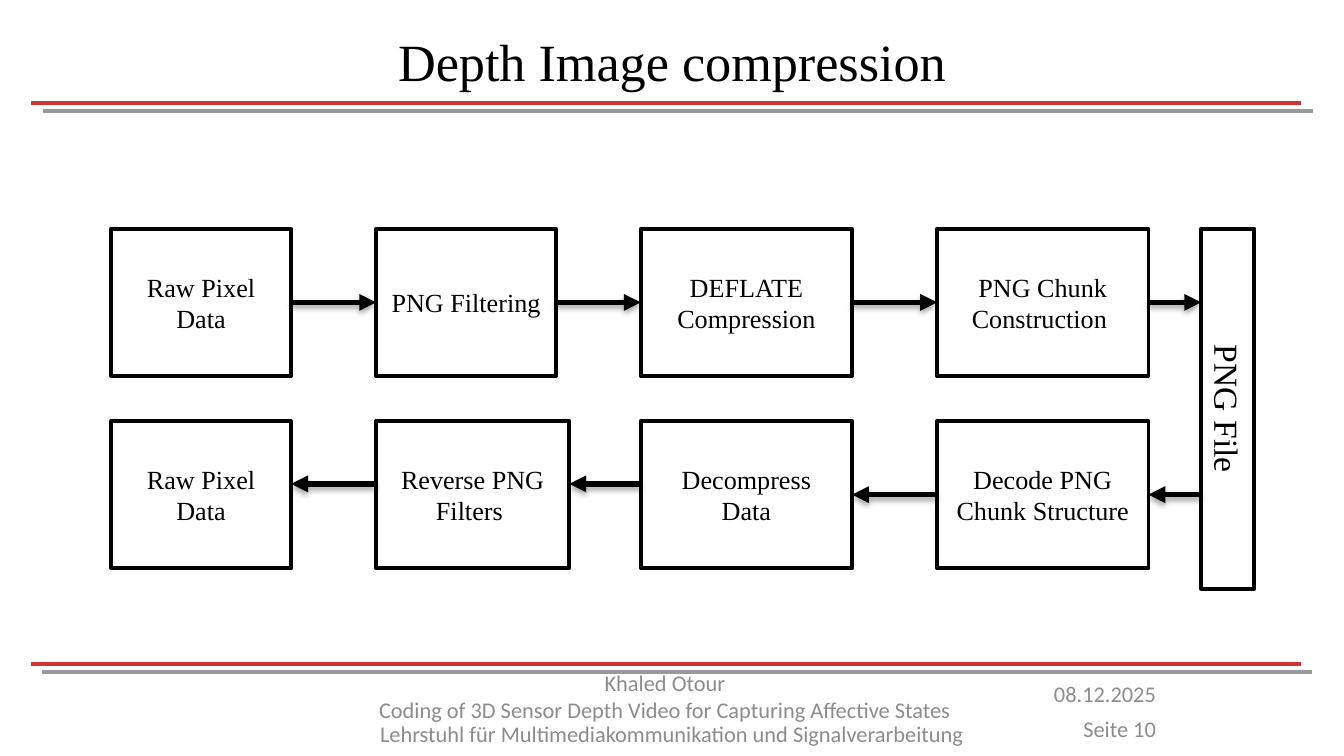
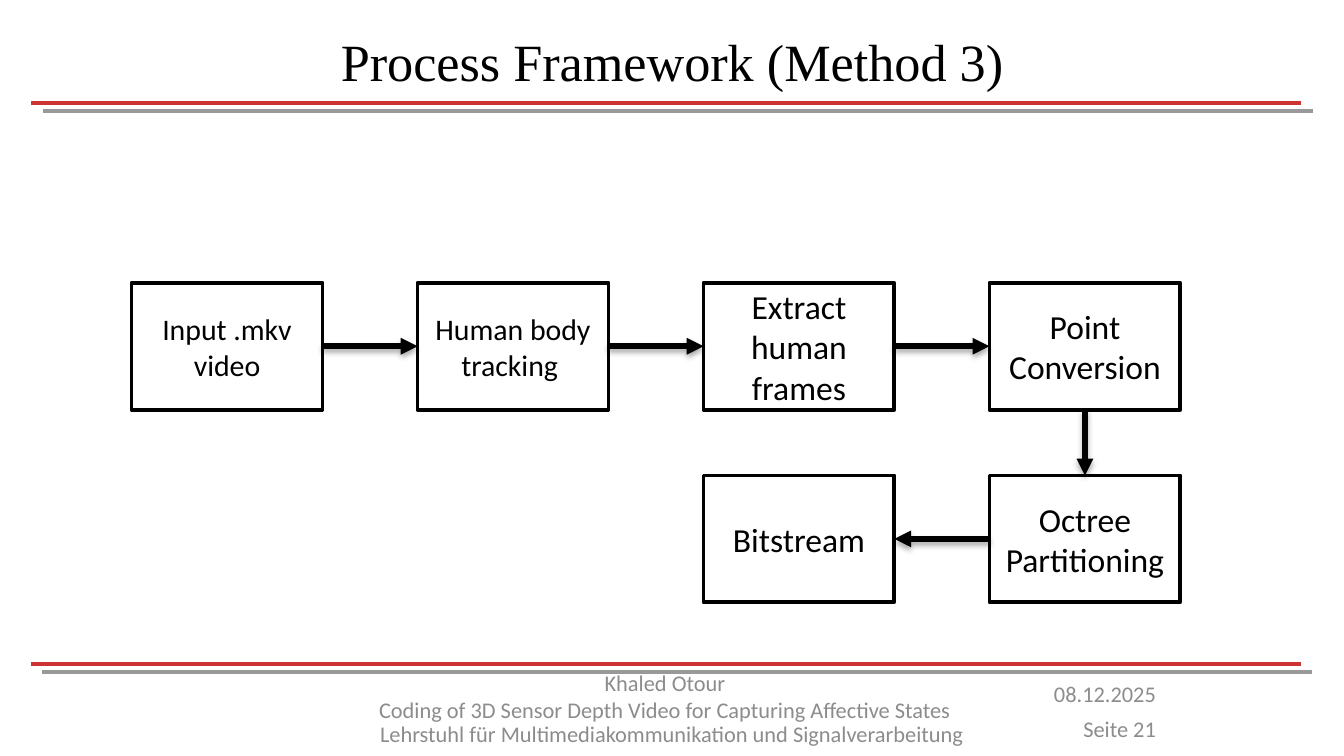
from dataclasses import dataclass
from typing import Optional

from lxml.etree import SubElement
from pptx import Presentation
from pptx.dml.color import RGBColor
from pptx.enum.shapes import MSO_CONNECTOR, MSO_SHAPE
from pptx.enum.text import MSO_ANCHOR, MSO_AUTO_SIZE, PP_ALIGN
from pptx.oxml.ns import qn
from pptx.util import Pt

COLORS = {"ink": "000000", "paper": "FFFFFF", "red": "CC3333",
          "rule": "999999", "foot": "8C8C8C"}
SERIF, SANS = "Times New Roman", "Calibri"
TOP, LEFT, BOTTOM, RIGHT = range(4)


@dataclass(frozen=True)
class Box:
    text: str
    x: float
    y: float
    w: float
    h: float
    size: int
    font: str
    turned: bool = False

    def side(self, side: int) -> tuple[float, float]:
        """Middle of one side."""
        return {TOP: (self.x + self.w / 2, self.y),
                LEFT: (self.x, self.y + self.h / 2),
                BOTTOM: (self.x + self.w / 2, self.y + self.h),
                RIGHT: (self.x + self.w, self.y + self.h / 2)}[side]


@dataclass(frozen=True)
class Arrow:
    start: str
    out: int
    end: str
    into: int
    level: Optional[float] = None  # fixed height of a level arrow


@dataclass(frozen=True)
class Rule:
    x: float
    y: float
    color: str


@dataclass(frozen=True)
class Note:
    text: str
    x: float
    y: float
    w: float
    h: float
    align: PP_ALIGN


RULES = [Rule(16.75, 55.1, "red"), Rule(23, 59.5, "rule"),
         Rule(16.5, 355.6, "red"), Rule(22.5, 360, "rule")]
RULE_W = 680.4
NOTES = [
    Note("Lehrstuhl für Multimediakommunikation und Signalverarbeitung",
         187.2, 382.5, 345.6, 21.8, PP_ALIGN.CENTER),
    Note("Khaled Otour\n"
         "Coding of 3D Sensor Depth Video for Capturing Affective States",
         183.5, 355, 345.6, 36, PP_ALIGN.CENTER),
    Note("08.12.2025", 553, 360.9, 73.4, 21.8, PP_ALIGN.RIGHT),
]


def rgb(name: str) -> RGBColor:
    return RGBColor.from_string(COLORS[name])


def style(frame, size: int, font: str, color: str, align: PP_ALIGN) -> None:
    frame.word_wrap = True
    for para in frame.paragraphs:
        para.alignment = align
        for run in para.runs:
            run.font.size, run.font.name = Pt(size), font
            run.font.color.rgb = rgb(color)


def add_line(slide, start, end, color: str, width: float):
    line = slide.shapes.add_connector(
        MSO_CONNECTOR.STRAIGHT, *(Pt(v) for v in (*start, *end)))
    line.line.color.rgb = rgb(color)
    line.line.width = Pt(width)
    SubElement(line._element.spPr, qn("a:effectLst"))
    return line


def add_note(slide, note: Note) -> None:
    frame = slide.shapes.add_textbox(
        Pt(note.x), Pt(note.y), Pt(note.w), Pt(note.h)).text_frame
    frame.text = note.text
    frame.auto_size = MSO_AUTO_SIZE.SHAPE_TO_FIT_TEXT
    style(frame, 12, SANS, "foot", note.align)


def add_box(slide, box: Box):
    shape = slide.shapes.add_shape(
        MSO_SHAPE.RECTANGLE, Pt(box.x), Pt(box.y), Pt(box.w), Pt(box.h))
    shape.shadow.inherit = False
    shape.fill.solid()
    shape.fill.fore_color.rgb = rgb("paper")
    shape.line.color.rgb = rgb("ink")
    shape.line.width = Pt(2)
    frame = shape.text_frame
    frame.text = box.text
    frame.vertical_anchor = MSO_ANCHOR.MIDDLE
    style(frame, box.size, box.font, "ink", PP_ALIGN.CENTER)
    if box.turned:
        frame._txBody.bodyPr.set("vert", "vert")
    return shape


def add_arrow(slide, arrow: Arrow, boxes: dict, shapes: dict) -> None:
    """Draw an arrow, joined wherever it meets the middle of a side."""
    ends = []
    for key, side in ((arrow.start, arrow.out), (arrow.end, arrow.into)):
        mid = boxes[key].side(side)
        spot = mid if arrow.level is None else (mid[0], arrow.level)
        ends.append((key, side, spot, spot == mid))
    line = add_line(slide, ends[0][2], ends[1][2], "ink", 3)
    for (key, side, _, joined), join in zip(
            ends, (line.begin_connect, line.end_connect)):
        if joined:
            join(shapes[key], side)
    props = line._element.spPr
    SubElement(props.find(qn("a:ln")), qn("a:tailEnd"), type="triangle")
    shade = SubElement(props.find(qn("a:effectLst")), qn("a:outerShdw"),
                       blurRad=str(Pt(3.1)), dist=str(Pt(1.8)),
                       dir="5400000", rotWithShape="0")
    tint = SubElement(shade, qn("a:srgbClr"), val=COLORS["ink"])
    SubElement(tint, qn("a:alpha"), val="35000")


def add_slide(deck, title: str, page: int, boxes: dict, arrows: list) -> None:
    slide = deck.slides.add_slide(deck.slide_layouts[5])
    for rule in RULES:
        add_line(slide, (rule.x, rule.y), (rule.x + RULE_W, rule.y),
                 rule.color, 2.25)
    for note in NOTES + [Note(f"Seite {page}", 553, 379.5, 73.4, 21.8,
                              PP_ALIGN.RIGHT)]:
        add_note(slide, note)
    head = slide.shapes.title
    head.left, head.top, head.width, head.height = map(Pt, (36, 10, 648, 44.6))
    head.text_frame.text = title
    head.text_frame.auto_size = MSO_AUTO_SIZE.NONE
    head.text_frame.vertical_anchor = MSO_ANCHOR.MIDDLE
    style(head.text_frame, 28, SERIF, "ink", PP_ALIGN.CENTER)
    shapes = {key: add_box(slide, box) for key, box in boxes.items()}
    for arrow in arrows:
        add_arrow(slide, arrow, boxes, shapes)


def add_png(deck) -> None:
    high, low, tall = 122.5, 225.5, 79
    cells = [
        ("raw", "Raw Pixel Data", 59.5, high, 96.5),
        ("filter", "PNG Filtering", 201.5, high, 96.5),
        ("deflate", "DEFLATE Compression", 343.25, high, 113.25),
        ("chunk", "PNG Chunk Construction ", 502, high, 113.25),
        ("decode", "Decode PNG Chunk Structure", 502, low, 113.25),
        ("inflate", "Decompress Data", 343.25, low, 113.25),
        ("reverse", "Reverse PNG Filters ", 201.5, low, 103.5),
        ("pixels", "Raw Pixel Data", 59.5, low, 96.5),
    ]
    boxes = {key: Box(text, x, y, w, tall, 14, SERIF)
             for key, text, x, y, w in cells}
    boxes["file"] = Box("PNG File", 643.5, high, 28.5, 193, 18, SERIF, True)
    there = ["raw", "filter", "deflate", "chunk"]
    arrows = [Arrow(a, RIGHT, b, LEFT) for a, b in zip(there, there[1:])]
    arrows.append(Arrow("chunk", RIGHT, "file", LEFT, high + tall / 2))
    back = ["file", "decode", "inflate", "reverse", "pixels"]
    levels = [low + tall / 2] * 2 + [259.25] * 2
    arrows += [Arrow(a, LEFT, b, RIGHT, y)
               for a, b, y in zip(back, back[1:], levels)]
    add_slide(deck, "Depth Image compression", 10, boxes, arrows)


def add_method(deck) -> None:
    cells = [
        ("input", "Input .mkv video", 0, 0, 16),
        ("track", "Human body tracking ", 1, 0, 16),
        ("frames", "Extract human frames", 2, 0, 18),
        ("points", "Point Conversion", 3, 0, 18),
        ("octree", "Octree Partitioning", 3, 1, 18),
        ("stream", "Bitstream", 2, 1, 18),
    ]
    boxes = {key: Box(text, 70.5 + 153.2 * col, 151.5 + 103.2 * row,
                      102.25, 68, size, SANS)
             for key, text, col, row, size in cells}
    chain = ["input", "track", "frames", "points"]
    arrows = [Arrow(a, RIGHT, b, LEFT) for a, b in zip(chain, chain[1:])]
    arrows += [Arrow("points", BOTTOM, "octree", TOP),
               Arrow("octree", LEFT, "stream", RIGHT)]
    add_slide(deck, "Process Framework (Method 3)", 21, boxes, arrows)


def main() -> None:
    deck = Presentation()
    deck.slide_width, deck.slide_height = Pt(720), Pt(405)
    add_png(deck)
    add_method(deck)
    deck.save("out.pptx")


if __name__ == "__main__":
    main()
